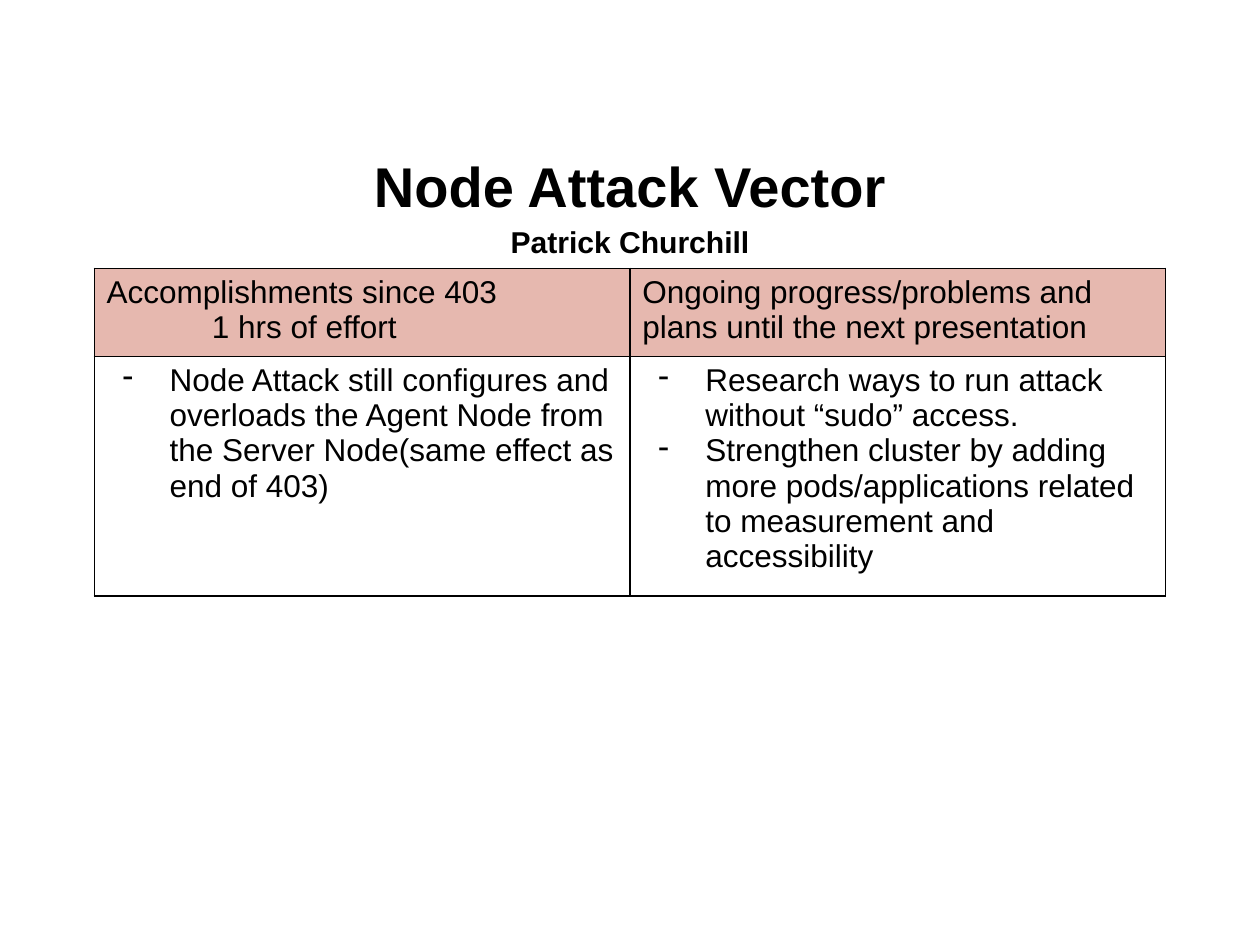
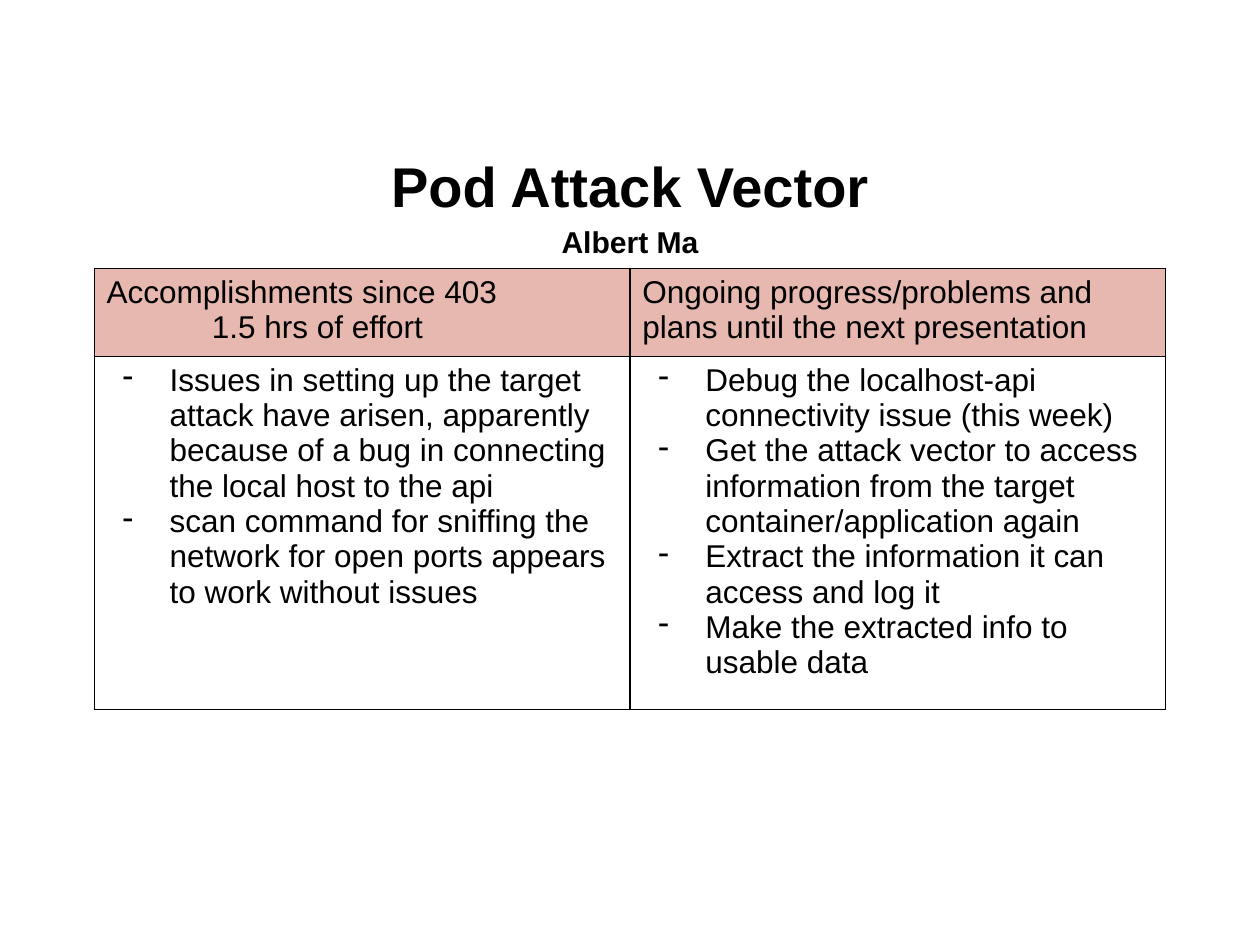
import pptx
import pptx.dml.color
import pptx.enum.text
import pptx.oxml
import pptx.oxml.ns
import pptx.util
from pptx.util import Cm

PLANS = "Ongoing progress/problems and plans until the next presentation"
SLIDES = [
    {
        "title": "Node Attack Vector",
        "name": "Patrick Churchill",
        "hours": "1 hrs of effort",
        "head": Cm(1.5),
        "done": ["Node Attack still configures and overloads the Agent Node "
                 "from the Server Node(same effect as end of 403)"],
        "next": ["Research ways to run attack without “sudo” access.",
                 "Strengthen cluster by adding more pods/applications related "
                 "to measurement and accessibility"],
    },
    {
        "title": "Pod Attack Vector",
        "name": "Albert Ma",
        "hours": "1.5 hrs of effort",
        "head": Cm(1.78),
        "done": ["Issues in setting up the target attack have arisen, apparently "
                 "because of a bug in connecting the local host to the api",
                 "scan command for sniffing the network for open ports appears "
                 "to work without issues"],
        "next": ["Debug the localhost-api connectivity issue (this week)",
                 "Get the attack vector to access information from the target "
                 "container/application again",
                 "Extract the information it can access and log it",
                 "Make the extracted info to usable data"],
    },
]

COLORS = {"text": "000000", "line": "000000", "head": "E6B8AF"}
FONT = "Arial"
WIDTH, HEIGHT = Cm(25.4), Cm(19.05)
COL, BODY = Cm(10.8), Cm(4.83)
PAD_X, PAD_Y = Cm(0.25), Cm(0.25)
INDENT, HANG, SHIFT = Cm(1.27), Cm(0.95), Cm(2.12)


def rgb(key):
    return pptx.dml.color.RGBColor.from_string(COLORS[key])


def xml(text):
    return pptx.oxml.parse_xml(text.replace(" ", f" {pptx.oxml.ns.nsdecls('a')} ", 1))


def style(par, size, bold=False):
    par.font.name = FONT
    par.font.size = pptx.util.Pt(size)
    par.font.bold = bold
    par.font.color.rgb = rgb("text")


def write(frame, lines):
    """Put each line in its own paragraph and return the paragraphs."""
    frame.text = "\n".join(lines)
    return frame.paragraphs


def add_title(slide, title, name):
    box = slide.shapes.add_textbox(Cm(1.27), Cm(2.92), WIDTH - 2 * Cm(1.27), Cm(2.24))
    frame = box.text_frame
    frame.word_wrap = True
    frame.vertical_anchor = pptx.enum.text.MSO_ANCHOR.MIDDLE
    for par, size in zip(write(frame, [title, name]), (32, 17.2)):
        par.alignment = pptx.enum.text.PP_ALIGN.CENTER
        par.line_spacing = 1.15
        style(par, size, True)


def indent(par, left, first=0):
    props = par._p.get_or_add_pPr()
    props.set("marL", str(left))
    props.set("indent", str(first))
    return props


def add_dash(par):
    props = indent(par, INDENT, -HANG)
    props.append(xml(f'<a:buClr ><a:srgbClr val="{COLORS["text"]}"/></a:buClr>'))
    props.append(xml('<a:buChar char="-"/>'))


def add_border(cell):
    props = cell._tc.get_or_add_tcPr()
    for spot, side in enumerate("LRTB"):
        props.insert(spot, xml(
            f'<a:ln{side} w="12700"><a:solidFill><a:srgbClr val="{COLORS["line"]}"/>'
            f'</a:solidFill></a:ln{side}>'))


def add_table(slide, item):
    frame = slide.shapes.add_table(2, 2, (WIDTH - 2 * COL) // 2, Cm(5.41),
                                   2 * COL, item["head"] + BODY)
    table = frame.table
    table.first_row = table.horz_banding = False
    for col in table.columns:
        col.width = COL
    for row, high in zip(table.rows, (item["head"], BODY)):
        row.height = high
    cells = [
        [["Accomplishments since 403", item["hours"]], [PLANS]],
        [item["done"], item["next"]],
    ]
    for r, row in enumerate(cells):
        for c, lines in enumerate(row):
            cell = table.cell(r, c)
            cell.margin_left = cell.margin_right = PAD_X
            cell.margin_top = cell.margin_bottom = PAD_Y // 2
            if r == 0:
                cell.fill.solid()
                cell.fill.fore_color.rgb = rgb("head")
            else:
                cell.fill.background()
            add_border(cell)
            for n, par in enumerate(write(cell.text_frame, lines)):
                if r > 0:
                    add_dash(par)
                elif n > 0:
                    indent(par, SHIFT)
                style(par, 18)


def main():
    deck = pptx.Presentation()
    deck.slide_width, deck.slide_height = WIDTH, HEIGHT
    for item in SLIDES:
        slide = deck.slides.add_slide(deck.slide_layouts[6])
        add_title(slide, item["title"], item["name"])
        add_table(slide, item)
    deck.save("out.pptx")


if __name__ == "__main__":
    main()
